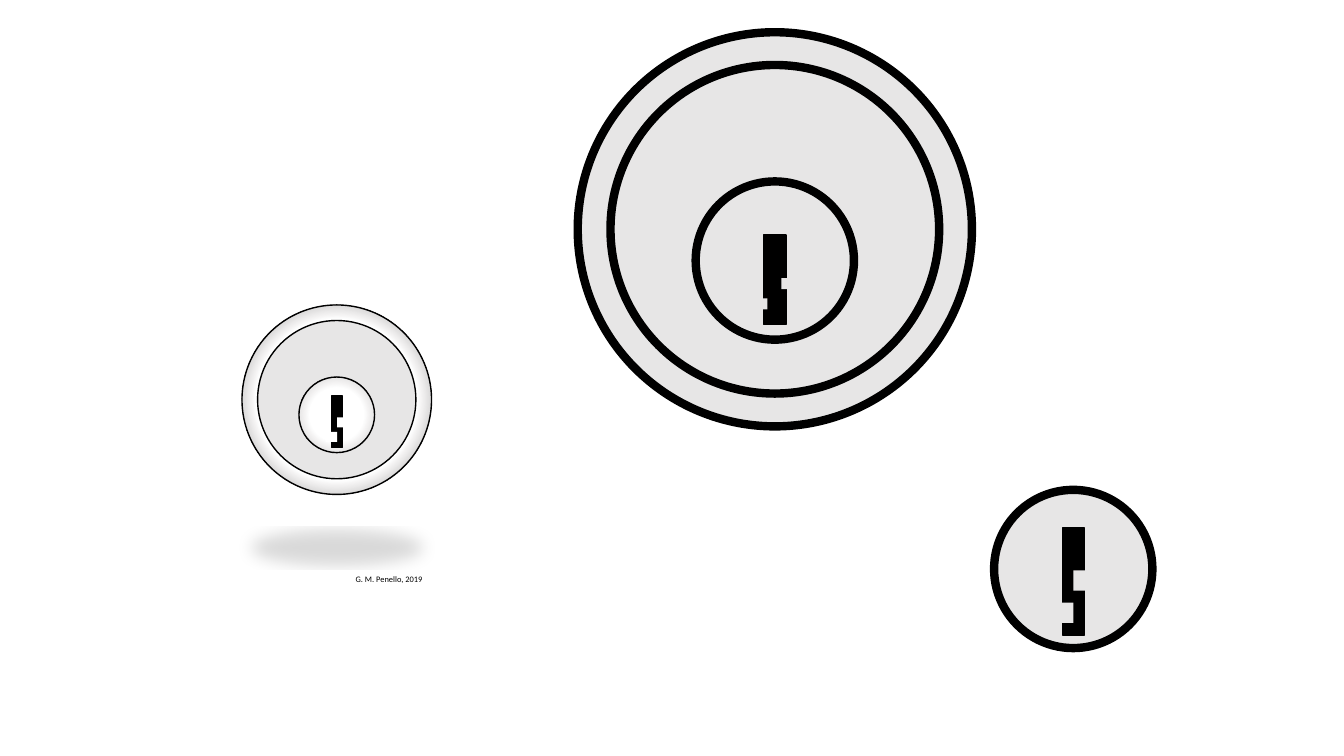
from lxml.etree import SubElement
from pptx import Presentation
from pptx.dml.color import RGBColor
from pptx.enum.shapes import MSO_SHAPE
from pptx.enum.text import MSO_AUTO_SIZE
from pptx.oxml import parse_xml
from pptx.oxml.ns import nsdecls, qn
from pptx.util import Inches, Pt

CELL = Inches(0.1)  # grid of 133.3 columns by 75 rows
COLORS = {"black": "000000", "steel": "E7E6E6", "white": "FFFFFF",
          "silver": "D0CECE", "rim_edge": "404040", "plug_edge": "3B3838"}
GRADIENTS = {
    "rim": [(60, "white"), (74, "silver"), (100, "rim_edge")],
    "plug": [(50, "white"), (89, "silver"), (100, "plug_edge")],
}
OVAL, RECT = MSO_SHAPE.OVAL, MSO_SHAPE.RECTANGLE

# Rings: centre row offset, diameter, fill.
# Keyhole: centre offset from the plug (the last ring), width, height, fill.
LOCKS = [
    {"centre": (76.85, 22.75), "line": 6,
     "rings": [(0, 39.1, "steel"), (0, 32.6, "steel"), (3.1, 15.7, "steel")],
     "keyhole": [(0, 1.9, 2.2, 8.9, "black"), (-1.85, 4.3, 2.2, 1.1, "steel"),
                 (1.75, 2.3, 2.2, 1.1, "steel")]},
    {"centre": (106.45, 56.45), "line": 6,
     "rings": [(0, 15.7, "steel")],
     "keyhole": [(0, 1.25, 2.2, 10.6, "black"), (-1.1, 4.35, 2.2, 2, "steel"),
                 (1.1, 1.15, 2.2, 2, "steel")]},
    {"centre": (33.4, 39.65), "line": 1, "shadow": True,
     "rings": [(0, 18.8, "rim"), (0, 15.7, "steel"), (1.5, 7.5, "plug")],
     "keyhole": [(0, 0.7, 1.1, 5.1, "black"), (-0.5, 2.2, 1.1, 1, "white"),
                 (0.6, 0.75, 1.1, 1, "white")]},
]


def add_part(grp, kind, x, y, w, h, fill, line):
    """Add a shape centred on a grid point; a line of 0 means no outline."""
    sp = grp.shapes.add_shape(kind, *(round(v * CELL) for v in (x - w / 2, y - h / 2, w, h)))
    sp.shadow.inherit = False
    if fill in GRADIENTS:
        set_radial(sp, GRADIENTS[fill])
    else:
        sp.fill.solid()
        sp.fill.fore_color.rgb = RGBColor.from_string(COLORS[fill])
    if line:
        sp.line.width = Pt(line)
        sp.line.color.rgb = RGBColor.from_string(COLORS["black"])
    else:
        sp.line.fill.background()
    return sp


def set_radial(sp, stops):
    """Give a shape a circular gradient from its centre."""
    sp.fill.gradient()
    old = sp._element.spPr.find(qn("a:gradFill"))
    gs = "".join(f'<a:gs pos="{pos * 1000}"><a:srgbClr val="{COLORS[name]}"/></a:gs>'
                 for pos, name in stops)
    new = parse_xml(f'<a:gradFill {nsdecls("a")} rotWithShape="1"><a:gsLst>{gs}</a:gsLst>'
                    '<a:path path="circle"><a:fillToRect l="50000" t="50000" '
                    'r="50000" b="50000"/></a:path></a:gradFill>')
    old.getparent().replace(old, new)


prs = Presentation()
prs.slide_width, prs.slide_height = Inches(13.33), Inches(7.5)
s = prs.slides.add_slide(prs.slide_layouts[6])

for lock in LOCKS:
    grp = s.shapes.add_group_shape()
    cx, cy = lock["centre"]
    rings = [add_part(grp, OVAL, cx, cy + dy, d, d, fill, lock["line"])
             for dy, d, fill in lock["rings"]]
    plug_y = cy + lock["rings"][-1][0]
    for dx, dy, w, h, fill in lock["keyhole"]:
        add_part(grp, RECT, cx + dx, plug_y + dy, w, h, fill, 1 if fill == "black" else 0)
    if lock.get("shadow"):
        effects = rings[0]._element.spPr.find(qn("a:effectLst"))
        shadow = SubElement(effects, qn("a:outerShdw"), blurRad=str(Pt(12)), dist=str(Pt(25)),
                            dir="5400000", sx="90000", sy="-19000", rotWithShape="0")
        clr = SubElement(shadow, qn("a:srgbClr"), val=COLORS["black"])
        SubElement(clr, qn("a:alpha"), val="15000")

# Signature under the small lock, in the same group
tb = grp.shapes.add_textbox(*(round(v * CELL) for v in (34.3, 56.5, 8.7, 2)))
tf = tb.text_frame
for name, value in {"word_wrap": False, "auto_size": MSO_AUTO_SIZE.SHAPE_TO_FIT_TEXT}.items():
    setattr(tf, name, value)
r = tf.paragraphs[0].add_run()
r.text = "G. M. Penello, 2019"
for name, value in {"name": "Calibri", "size": Pt(6)}.items():
    setattr(r.font, name, value)
r.font.color.rgb = RGBColor.from_string(COLORS["black"])

prs.save("out.pptx")
